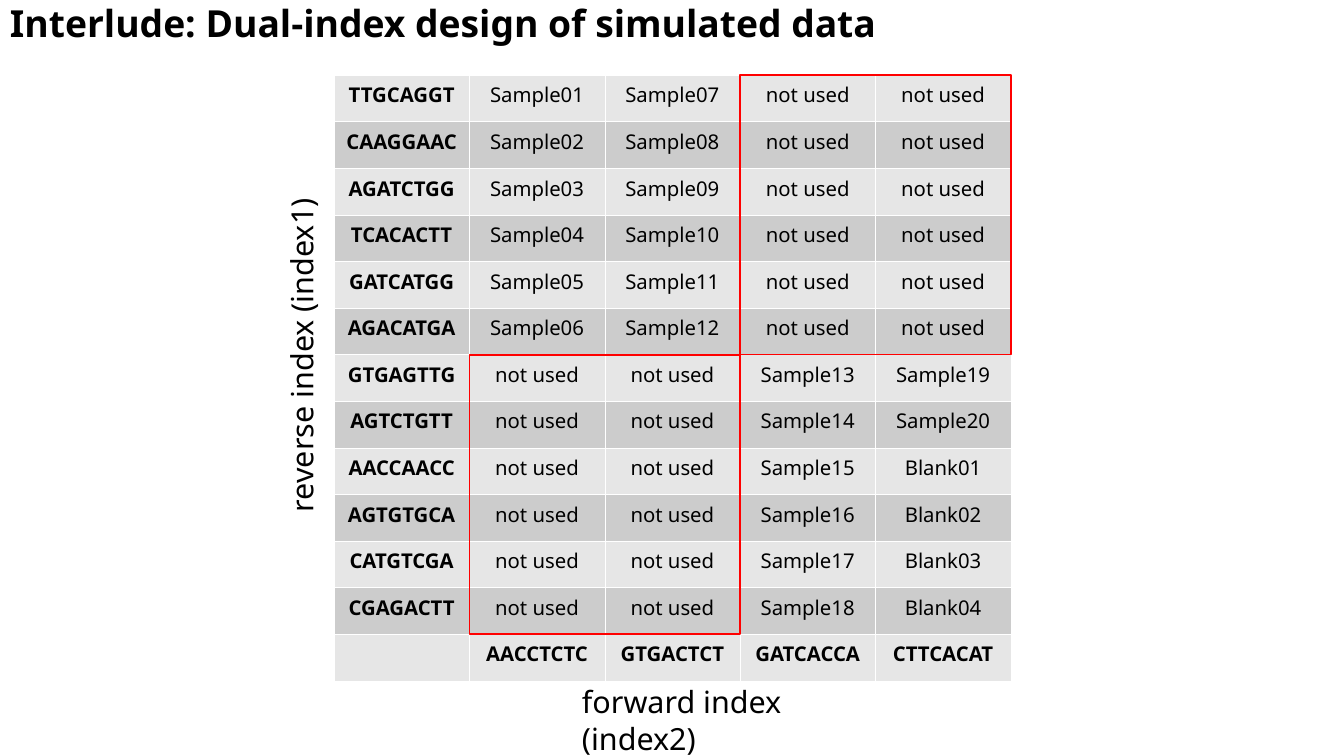
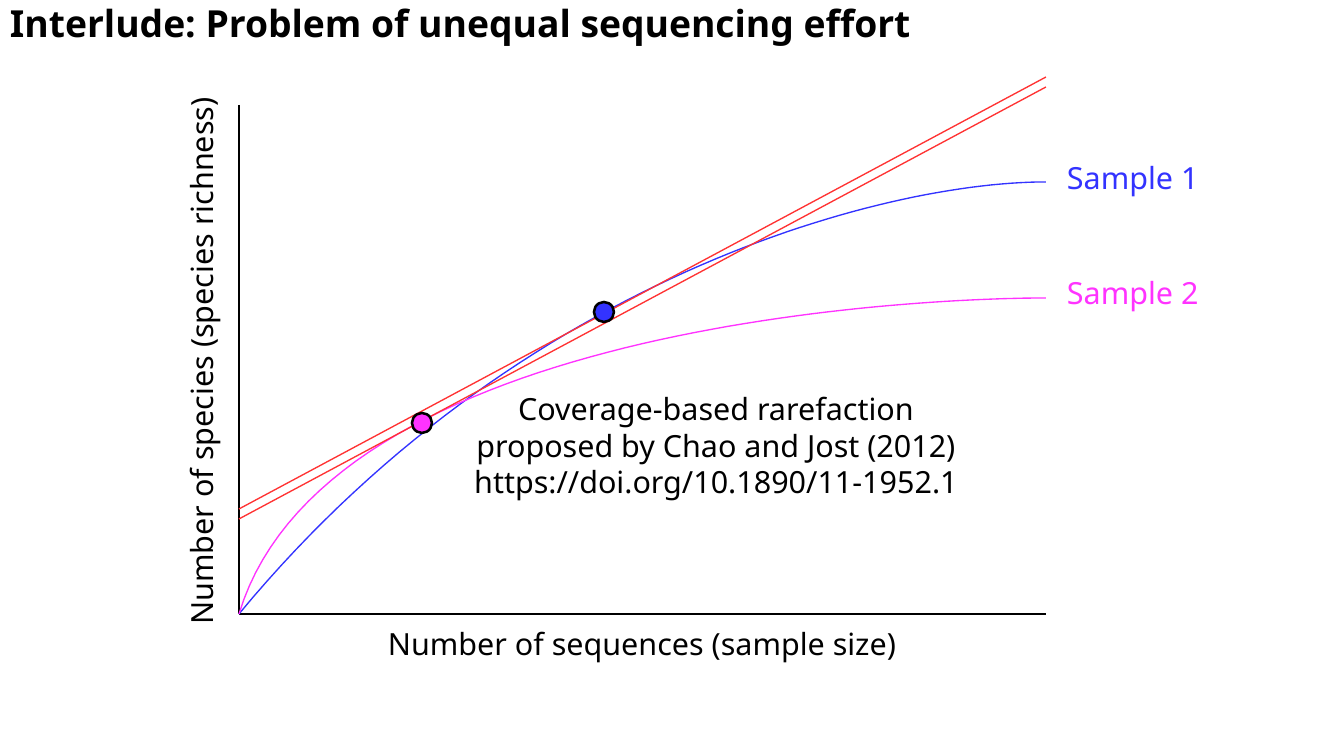
from dataclasses import dataclass

from lxml.etree import SubElement
from pptx import Presentation
from pptx.dml.color import RGBColor
from pptx.enum.shapes import MSO_CONNECTOR, MSO_SHAPE
from pptx.enum.text import MSO_ANCHOR, MSO_AUTO_SIZE, PP_ALIGN
from pptx.oxml.ns import qn
from pptx.slide import Slide
from pptx.table import _Cell as Cell
from pptx.text.text import TextFrame
from pptx.util import Emu, Pt

EMU_PER_PX = 914400 / 122
SLIDE_WIDTH, SLIDE_HEIGHT = 1344, 756
FONT = "Noto Sans"
TITLE_SIZE, LABEL_SIZE, CELL_SIZE = 22, 18, 12
LABEL_HEIGHT = 54
COLORS = {
    "black": "000000",
    "white": "FFFFFF",
    "light row": "E6E6E6",
    "dark row": "CCCCCC",
    "unused frame": "FF0000",
    "tangent": "FF3333",
    "sample 1": "3333FF",
    "sample 2": "FF33FF",
}

REVERSE_INDEXES = [
    "TTGCAGGT", "CAAGGAAC", "AGATCTGG", "TCACACTT", "GATCATGG", "AGACATGA",
    "GTGAGTTG", "AGTCTGTT", "AACCAACC", "AGTGTGCA", "CATGTCGA", "CGAGACTT",
]
FORWARD_INDEXES = ["AACCTCTC", "GTGACTCT", "GATCACCA", "CTTCACAT"]
HALF_ROWS = len(REVERSE_INDEXES) // 2
HALF_COLUMNS = len(FORWARD_INDEXES) // 2
TABLE_LEFT, TABLE_TOP, TABLE_WIDTH, TABLE_HEIGHT = 334, 75, 677, 606

AXIS_LEFT, AXIS_TOP, AXIS_RIGHT, AXIS_BOTTOM = 239, 105, 1046, 614
POINT_SIZE = 20
CURVE_STEPS = 60


@dataclass(frozen=True)
class Label:
    text: str
    left: int
    top: int
    width: int
    height: int = LABEL_HEIGHT
    color: str = "black"
    rotation: int = 0
    align: PP_ALIGN = PP_ALIGN.LEFT


@dataclass(frozen=True)
class Line:
    start: tuple[int, int]
    end: tuple[int, int]
    color: str
    weight: float


@dataclass(frozen=True)
class Rarefaction:
    """Sample curve from the origin, with its two Bezier handles and its marked point."""
    color: str
    handles: tuple[tuple[int, int], tuple[int, int]]
    plateau: int
    point: tuple[int, int]


INDEX_LABELS = [
    Label("reverse index (index1)", 135, 328, 338, rotation=270),
    Label("forward index (index2)", 570, 677, 345),
]
AXES = [
    Line((AXIS_LEFT, AXIS_TOP), (AXIS_LEFT, AXIS_BOTTOM), "black", 1),
    Line((AXIS_LEFT, AXIS_BOTTOM), (AXIS_RIGHT, AXIS_BOTTOM), "black", 1),
]
TANGENTS = [
    Line((AXIS_LEFT, 519), (AXIS_RIGHT, 87), "tangent", 0.79),
    Line((AXIS_LEFT, 509), (AXIS_RIGHT, 77), "tangent", 0.79),
]
RAREFACTIONS = [
    Rarefaction("sample 1", ((517, 278), (883, 182)), 182, (604, 312)),
    Rarefaction("sample 2", ((326, 326), (911, 298)), 298, (422, 423)),
]
CHART_LABELS = [
    Label("Number of sequences (sample size)", 376, 619, 533),
    Label("Number of species (species richness)", -73, 333, 553, rotation=270),
    Label("Sample 1", 1055, 153, 156, color="sample 1"),
    Label("Sample 2", 1055, 268, 156, color="sample 2"),
]
CITATION = Label(
    "Coverage-based rarefaction\n"
    "proposed by Chao and Jost (2012)\n"
    "https://doi.org/10.1890/11-1952.1",
    462, 384, 508, 137, align=PP_ALIGN.CENTER,
)


def px(length: float) -> Emu:
    return Emu(round(length * EMU_PER_PX))


def rgb(name: str) -> RGBColor:
    return RGBColor.from_string(COLORS[name])


def format_text(frame: TextFrame, size: int, color: str = "black",
                bold: bool = False, align: PP_ALIGN = PP_ALIGN.LEFT) -> None:
    for paragraph in frame.paragraphs:
        paragraph.alignment = align
        for run in paragraph.runs:
            run.font.name = FONT
            run.font.size = Pt(size)
            run.font.bold = bold
            run.font.color.rgb = rgb(color)


def add_titled_slide(deck: Presentation, heading: str) -> Slide:
    slide = deck.slides.add_slide(deck.slide_layouts[5])
    title = slide.shapes.title
    title.left, title.top, title.width, title.height = map(px, (10, 0, 1326, 106))
    frame = title.text_frame
    frame.text = heading
    frame.auto_size = MSO_AUTO_SIZE.NONE
    frame.vertical_anchor = MSO_ANCHOR.TOP
    frame.margin_left = frame.margin_right = frame.margin_top = frame.margin_bottom = 0
    format_text(frame, TITLE_SIZE, bold=True)
    return slide


def add_label(slide: Slide, label: Label) -> None:
    box = slide.shapes.add_textbox(
        *map(px, (label.left, label.top, label.width, label.height)))
    box.rotation = label.rotation
    frame = box.text_frame
    frame.text = label.text
    frame.word_wrap = False
    frame.auto_size = MSO_AUTO_SIZE.SHAPE_TO_FIT_TEXT
    format_text(frame, LABEL_SIZE, label.color, align=label.align)


def add_line(slide: Slide, line: Line) -> None:
    connector = slide.shapes.add_connector(
        MSO_CONNECTOR.STRAIGHT, *map(px, line.start + line.end))
    connector.line.color.rgb = rgb(line.color)
    connector.line.width = Pt(line.weight)
    SubElement(connector._element.spPr, qn("a:effectLst"))


def add_cell_borders(cell: Cell) -> None:
    """Draw thin white lines on all four sides; call before the cell is filled."""
    properties = cell._tc.get_or_add_tcPr()
    for side in ("a:lnL", "a:lnR", "a:lnT", "a:lnB"):
        border = SubElement(properties, qn(side), w="762")
        fill = SubElement(border, qn("a:solidFill"))
        SubElement(fill, qn("a:srgbClr"), val=COLORS["white"])


def index_grid() -> list[list[str]]:
    """Fill opposite quadrants of the grid with samples, column by column."""
    names = [f"Sample{n:02}" for n in range(1, 21)] + [f"Blank{n:02}" for n in range(1, 5)]
    unused = ["not used"] * HALF_ROWS
    columns = []
    for column in range(len(FORWARD_INDEXES)):
        used = names[column * HALF_ROWS:(column + 1) * HALF_ROWS]
        columns.append(used + unused if column < HALF_COLUMNS else unused + used)
    rows = [list(row) for row in zip(REVERSE_INDEXES, *columns)]
    return rows + [["", *FORWARD_INDEXES]]


def add_index_table(slide: Slide) -> None:
    grid = index_grid()
    table = slide.shapes.add_table(
        len(grid), len(grid[0]),
        *map(px, (TABLE_LEFT, TABLE_TOP, TABLE_WIDTH, TABLE_HEIGHT))).table
    table.first_row = table.horz_banding = False
    for r, row in enumerate(grid):
        for c, text in enumerate(row):
            cell = table.cell(r, c)
            cell.text = text
            add_cell_borders(cell)
            cell.fill.solid()
            cell.fill.fore_color.rgb = rgb("dark row" if r % 2 else "light row")
            is_index = c == 0 or r == len(grid) - 1
            format_text(cell.text_frame, CELL_SIZE, bold=is_index, align=PP_ALIGN.CENTER)
            if not text:
                SubElement(cell.text_frame.paragraphs[0]._p, qn("a:endParaRPr"),
                           sz=str(CELL_SIZE * 100))


def add_unused_frames(slide: Slide) -> None:
    cell_width = TABLE_WIDTH / (len(FORWARD_INDEXES) + 1)
    cell_height = TABLE_HEIGHT / (len(REVERSE_INDEXES) + 1)
    for column, row in ((1 + HALF_COLUMNS, 0), (1, HALF_ROWS)):
        frame = slide.shapes.add_shape(
            MSO_SHAPE.RECTANGLE,
            px(TABLE_LEFT + column * cell_width), px(TABLE_TOP + row * cell_height),
            px(HALF_COLUMNS * cell_width), px(HALF_ROWS * cell_height))
        frame.shadow.inherit = False
        frame.fill.background()
        frame.line.color.rgb = rgb("unused frame")
        frame.line.width = Pt(1)


def add_curve(slide: Slide, sample: Rarefaction) -> None:
    anchors = ((AXIS_LEFT, AXIS_BOTTOM), *sample.handles, (AXIS_RIGHT, sample.plateau))
    points = []
    for step in range(CURVE_STEPS + 1):
        t = step / CURVE_STEPS
        weights = ((1 - t) ** 3, 3 * t * (1 - t) ** 2, 3 * t ** 2 * (1 - t), t ** 3)
        points.append(tuple(
            px(sum(w * anchor[axis] for w, anchor in zip(weights, anchors)))
            for axis in (0, 1)))
    builder = slide.shapes.build_freeform(*points[0])
    builder.add_line_segments(points[1:], close=False)
    curve = builder.convert_to_shape()
    curve.shadow.inherit = False
    curve.fill.background()
    curve.line.color.rgb = rgb(sample.color)
    curve.line.width = Pt(0.79)


def add_point(slide: Slide, sample: Rarefaction) -> None:
    x, y = sample.point
    point = slide.shapes.add_shape(
        MSO_SHAPE.OVAL, px(x - POINT_SIZE / 2), px(y - POINT_SIZE / 2),
        px(POINT_SIZE), px(POINT_SIZE))
    point.shadow.inherit = False
    point.fill.solid()
    point.fill.fore_color.rgb = rgb(sample.color)
    point.line.color.rgb = rgb("black")
    point.line.width = Pt(1.5)


def build_index_slide(deck: Presentation) -> None:
    slide = add_titled_slide(deck, "Interlude: Dual-index design of simulated data")
    add_index_table(slide)
    add_unused_frames(slide)
    for label in INDEX_LABELS:
        add_label(slide, label)


def build_effort_slide(deck: Presentation) -> None:
    slide = add_titled_slide(deck, "Interlude: Problem of unequal sequencing effort")
    for axis in AXES:
        add_line(slide, axis)
    for sample in RAREFACTIONS:
        add_curve(slide, sample)
    for label in CHART_LABELS:
        add_label(slide, label)
    for tangent in TANGENTS:
        add_line(slide, tangent)
    for sample in RAREFACTIONS:
        add_point(slide, sample)
    add_label(slide, CITATION)


def main() -> None:
    deck = Presentation()
    deck.slide_width, deck.slide_height = px(SLIDE_WIDTH), px(SLIDE_HEIGHT)
    build_index_slide(deck)
    build_effort_slide(deck)
    deck.save("out.pptx")


if __name__ == "__main__":
    main()
